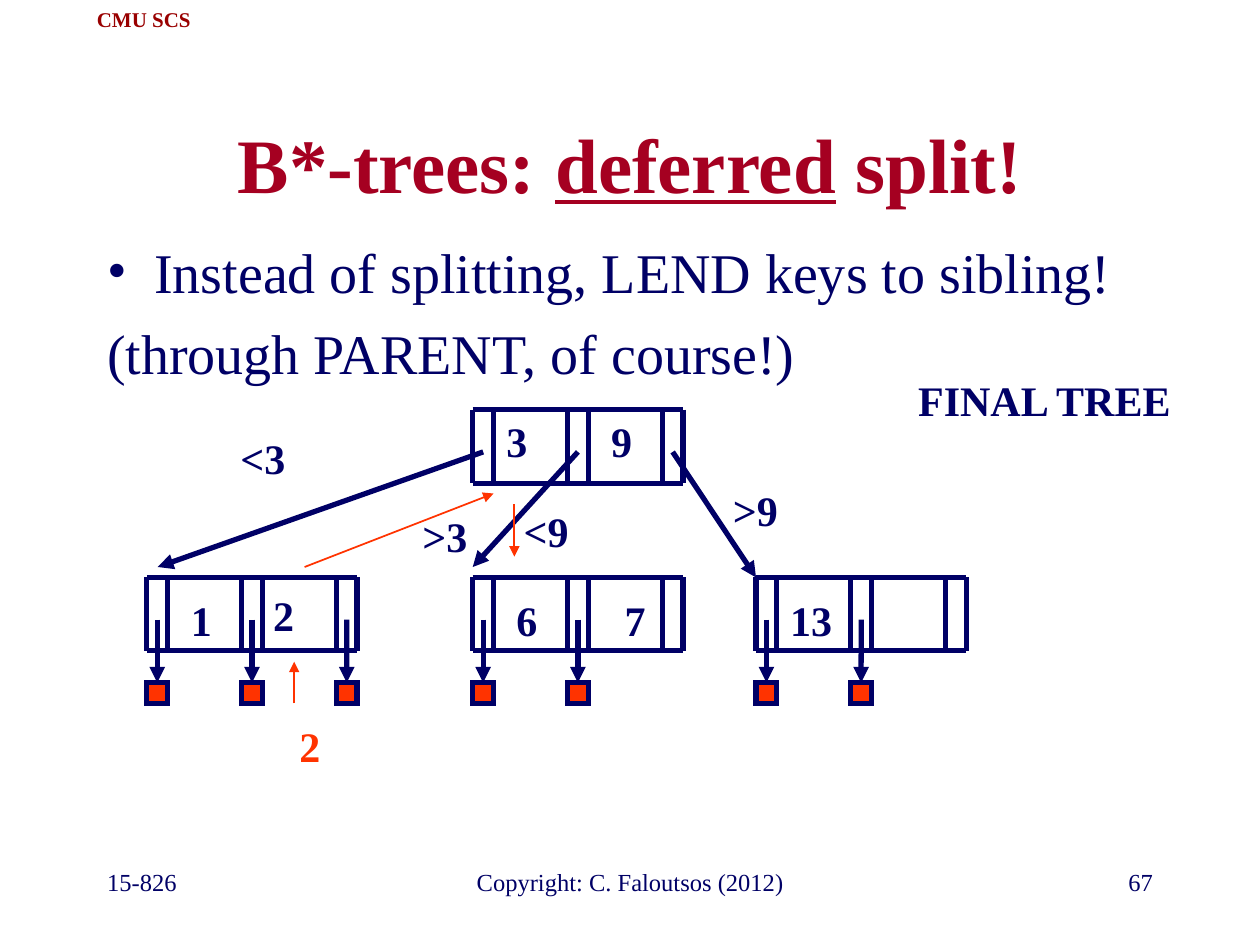
import pptx
import pptx.dml.color
import pptx.enum.shapes
import pptx.enum.text
import pptx.oxml
import pptx.oxml.ns
import pptx.util
from lxml import etree

Cm = pptx.util.Cm
Pt = pptx.util.Pt
ALIGN = pptx.enum.text.PP_ALIGN
ANCHOR = pptx.enum.text.MSO_ANCHOR
qn = pptx.oxml.ns.qn

NAVY, CRIMSON, MAROON, ORANGE = "000066", "A50021", "990000", "FF3300"
FONT = "Times New Roman"

TITLE = [("B*-trees: ", False), ("deferred", True), (" split!", False)]
POINTS = [
    ("Instead of splitting, LEND keys to sibling!", True),
    ("(through PARENT, of course!)", False),
]
HEADER = ("CMU SCS", 1.5, 0, 2.8, 0.76)
FOOTERS = [
    ("15-826", 1.91, 17.36, 5.28, 1.27, ALIGN.LEFT),
    ("Copyright: C. Faloutsos (2012)", 8.68, 17.36, 8.05, 1.27, ALIGN.CENTER),
    ("67", 18.21, 17.36, 5.28, 1.27, ALIGN.RIGHT),
]

ROOT_TOP, LEAF_TOP = 8.26, 11.64
NODES = [
    (9.53, ROOT_TOP, 0),
    (15.24, LEAF_TOP, 2),
    (9.53, LEAF_TOP, 2),
    (2.96, LEAF_TOP, 3),
]
SLOT, PITCH, NODE_HEIGHT = 0.42, 1.91, 1.48
POINTER_DROP, RECORD_DROP = 0.85, 2.12

CHILD_ENDS = [(3.18, 11.43), (9.53, 11.43), (15.24, LEAF_TOP)]
MOVES = [
    (5.93, 14.18, 5.93, 13.34),
    (10.37, 10.16, 10.37, 11.22),
    (6.14, 11.43, 9.95, 9.95),
]
LABEL_HEIGHT = 1.27
LABELS = [
    ("1", 3.56, 11.86, 1, NAVY),
    ("2", 5.22, 11.76, 1, NAVY),
    ("3", 9.92, 8.26, 1, NAVY),
    ("6", 10.12, 11.86, 1, NAVY),
    ("9", 12.03, 8.26, 1, NAVY),
    ("13", 15.55, 11.86, 1.6, NAVY),
    ("<3", 4.4, 8.59, 1.8, NAVY),
    (">3", 8.07, 10.16, 1.8, NAVY),
    ("<9", 10.11, 10.06, 1.8, NAVY),
    (">9", 14.33, 9.65, 1.8, NAVY),
    ("7", 12.07, 11.86, 1.47, NAVY),
    ("2", 5.51, 14.4, 1.47, ORANGE),
    ("FINAL TREE", 17.98, 7.42, 6.15, NAVY),
]


def rgb(value):
    return pptx.dml.color.RGBColor.from_string(value)


def add_run(paragraph, text, color, **formats):
    run = paragraph.add_run()
    run.text = text
    for attribute, value in {"name": FONT, **formats}.items():
        setattr(run.font, attribute, value)
    run.font.color.rgb = rgb(color)


def add_text(slide, text, left, top, width, height, color, size,
             align=ALIGN.CENTER, anchor=ANCHOR.TOP, bold=False):
    frame = slide.shapes.add_textbox(Cm(left), Cm(top), Cm(width), Cm(height)).text_frame
    frame.word_wrap, frame.vertical_anchor = True, anchor
    paragraph = frame.paragraphs[0]
    paragraph.alignment = align
    add_run(paragraph, text, color, size=Pt(size), bold=bold)


def add_line(slide, x1, y1, x2, y2, color=NAVY, width=3, arrow=False):
    line = slide.shapes.add_connector(
        pptx.enum.shapes.MSO_CONNECTOR.STRAIGHT, Cm(x1), Cm(y1), Cm(x2), Cm(y2))
    line.line.color.rgb = rgb(color)
    line.line.width = Pt(width)
    if arrow:
        etree.SubElement(line.line._get_or_add_ln(), qn("a:tailEnd"), type="triangle")
    etree.SubElement(line._element.spPr, qn("a:effectLst"))
    return line


def add_record(slide, left, top):
    record = slide.shapes.add_shape(
        pptx.enum.shapes.MSO_SHAPE.RECTANGLE, Cm(left), Cm(top), Cm(SLOT), Cm(SLOT))
    record.shadow.inherit = False
    record.fill.solid()
    record.fill.fore_color.rgb = rgb(ORANGE)
    record.line.color.rgb = rgb(NAVY)
    record.line.width = Pt(3)
    etree.SubElement(record.line._get_or_add_ln(), qn("a:miter"), lim="800000")
    return record


def add_node(slide, left, top, records):
    right, bottom = left + 2 * PITCH + SLOT, top + NODE_HEIGHT
    for slot in range(3):
        for x in (left + slot * PITCH, left + slot * PITCH + SLOT):
            add_line(slide, x, top, x, bottom)
    for y in (top, bottom):
        add_line(slide, left, y, right, y)
    for slot in range(records):
        x = left + slot * PITCH
        record = add_record(slide, x, top + RECORD_DROP)
        middle = x + SLOT / 2
        pointer = add_line(slide, middle, top + POINTER_DROP,
                           middle, top + RECORD_DROP, arrow=True)
        pointer.end_connect(record, 0)


def add_title(slide):
    title = slide.shapes.title
    place = {"left": 1.91, "top": 1.69, "width": 21.59, "height": 3.18}
    for attribute, value in place.items():
        setattr(title, attribute, Cm(value))
    frame = title.text_frame
    frame.auto_size = pptx.enum.text.MSO_AUTO_SIZE.NONE
    frame.vertical_anchor = ANCHOR.MIDDLE
    paragraph = frame.paragraphs[0]
    paragraph.alignment = ALIGN.CENTER
    for text, underline in TITLE:
        add_run(paragraph, text, CRIMSON, size=Pt(44), bold=True, underline=underline)


def add_points(slide):
    frame = slide.shapes.add_textbox(Cm(1.91), Cm(4.66), Cm(21.59), Cm(3.4)).text_frame
    frame.word_wrap = True
    for index, (text, bulleted) in enumerate(POINTS):
        paragraph = frame.add_paragraph() if index else frame.paragraphs[0]
        if index:
            paragraph.space_before = Pt(8)
        properties = paragraph._p.get_or_add_pPr()
        properties.set("marL", str(Cm(0.95)))
        properties.set("indent", str(-Cm(0.95)))
        if bulleted:
            bullet_color = etree.SubElement(properties, qn("a:buClr"))
            etree.SubElement(bullet_color, qn("a:srgbClr"), val=NAVY)
            etree.SubElement(properties, qn("a:buFont"), typeface=FONT)
            etree.SubElement(properties, qn("a:buChar"), char="•")
        else:
            etree.SubElement(properties, qn("a:buNone"))
        add_run(paragraph, text, NAVY, size=Pt(32))


def main():
    deck = pptx.Presentation()
    deck.slide_width, deck.slide_height = Cm(25.4), Cm(19.05)
    slide = deck.slides.add_slide(deck.slide_layouts[5])

    add_text(slide, *HEADER, MAROON, 12, anchor=ANCHOR.MIDDLE, bold=True)
    for *content, align in FOOTERS:
        add_text(slide, *content, NAVY, 14, align=align)
    add_title(slide)
    add_points(slide)

    for node in NODES:
        add_node(slide, *node)
    root_left = NODES[0][0]
    for slot, end in enumerate(CHILD_ENDS):
        add_line(slide, root_left + slot * PITCH + SLOT / 2,
                 ROOT_TOP + POINTER_DROP, *end, arrow=True)
    for text, left, top, width, color in LABELS:
        add_text(slide, text, left, top, width, LABEL_HEIGHT, color, 24, bold=True)
    for move in MOVES:
        add_line(slide, *move, color=ORANGE, width=1, arrow=True)

    deck.save("out.pptx")


if __name__ == "__main__":
    main()
